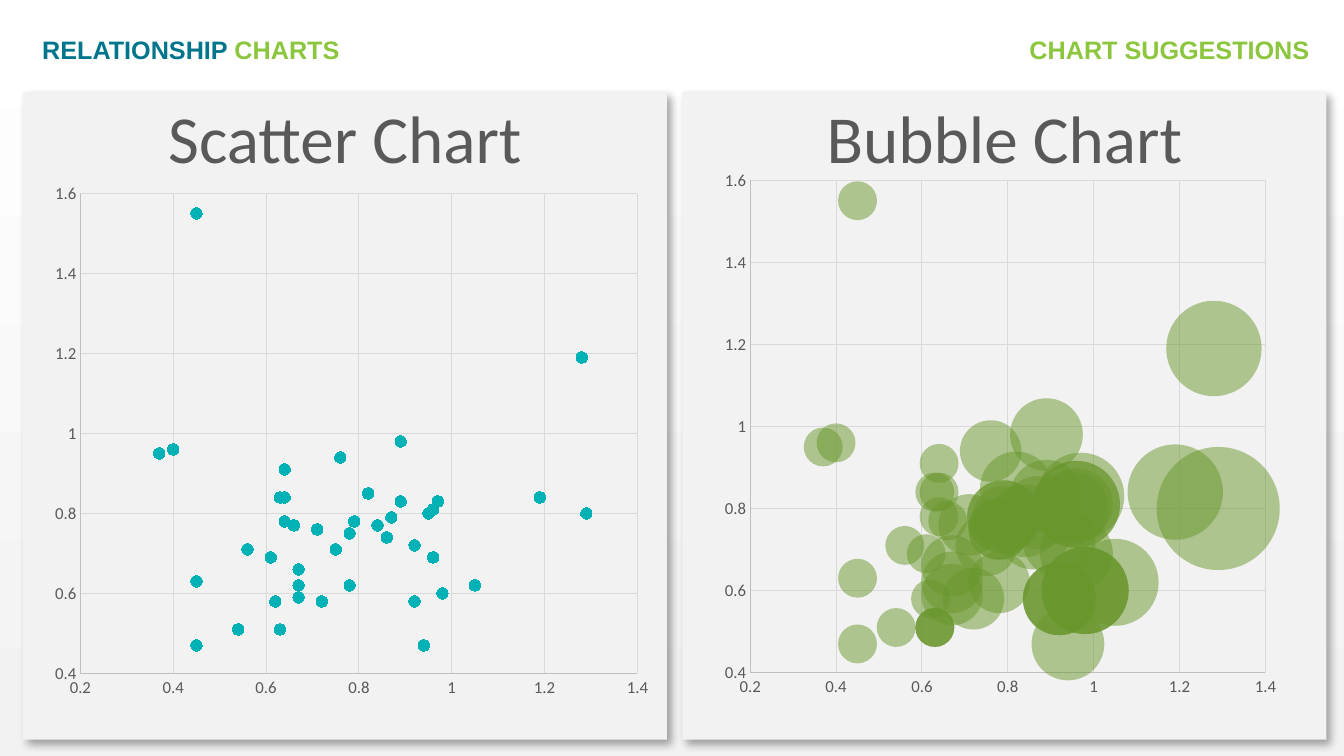
from pptx import Presentation
from pptx.chart.data import BubbleChartData, XyChartData
from pptx.dml.color import RGBColor
from pptx.enum.chart import XL_CHART_TYPE, XL_MARKER_STYLE, XL_TICK_LABEL_POSITION, XL_TICK_MARK
from pptx.enum.shapes import MSO_SHAPE
from pptx.enum.text import MSO_ANCHOR, MSO_AUTO_SIZE, PP_ALIGN
from pptx.oxml import parse_xml
from pptx.oxml.ns import nsdecls
from pptx.util import Cm, Pt

TEAL, GREEN, GREY = "00758B", "8CC63E", "595959"
PANEL_FILL, MARKER_FILL, BUBBLE_FILL = "F2F2F2", "00B2B5", "69972C"
AXIS_LINE, GRID_LINE = "BFBFBF", "D9D9D9"

HEADER_FONT = {"name": "Arial", "size": Pt(18), "bold": True}
PANEL_FONT = {"name": "Calibri", "size": Pt(48), "bold": False}
CHART_FONT = {"name": "Calibri", "size": Pt(10)}
TICK_FONT = {"name": "Calibri", "size": Pt(12)}
FRAME_FORMAT = {"word_wrap": True, "vertical_anchor": MSO_ANCHOR.TOP,
                "auto_size": MSO_AUTO_SIZE.SHAPE_TO_FIT_TEXT}
AXIS_FORMAT = {"major_unit": 0.2, "has_major_gridlines": True, "has_minor_gridlines": False,
               "major_tick_mark": XL_TICK_MARK.NONE, "minor_tick_mark": XL_TICK_MARK.NONE,
               "tick_label_position": XL_TICK_LABEL_POSITION.NEXT_TO_AXIS}
X_RANGE = {"minimum_scale": 0.2, "maximum_scale": 1.4}
Y_RANGE = {"minimum_scale": 0.4, "maximum_scale": 1.6}

SCATTER_X = [
    0.4, 0.37, 0.96, 0.97, 1.29, 0.92, 1.19, 0.84, 0.89, 0.66, 1.28, 0.64, 0.64, 0.64,
    0.79, 0.79, 0.79, 0.95, 0.98, 0.98, 0.98, 0.96, 0.96, 0.96, 0.75, 0.86, 0.94, 0.89,
    0.92, 0.92, 0.92, 1.05, 0.63, 0.63, 0.63, 0.71, 0.87, 0.78, 0.78, 0.78, 0.63, 0.67,
    0.67, 0.67, 0.56, 0.82, 0.62, 0.45, 0.45, 0.45, 0.76, 0.72, 0.61, 0.54]
SCATTER_Y = [
    0.96, 0.95, 0.69, 0.83, 0.8, 0.72, 0.84, 0.77, 0.98, 0.77, 1.19, 0.84, 0.78, 0.91,
    0.78, 0.78, 0.78, 0.8, 0.6, 0.6, 0.6, 0.81, 0.81, 0.81, 0.71, 0.74, 0.47, 0.83,
    0.58, 0.58, 0.58, 0.62, 0.51, 0.51, 0.51, 0.76, 0.79, 0.62, 0.75, 0.75, 0.84, 0.66,
    0.62, 0.59, 0.71, 0.85, 0.58, 0.47, 0.63, 1.55, 0.94, 0.58, 0.69, 0.51]
BUBBLE_X = sorted(SCATTER_X)
BUBBLE_Y = [
    0.95, 0.96, 0.47, 0.63, 1.55, 0.51, 0.71, 0.69, 0.58, 0.51, 0.51, 0.51, 0.84, 0.84,
    0.78, 0.91, 0.77, 0.66, 0.62, 0.59, 0.76, 0.58, 0.71, 0.94, 0.62, 0.75, 0.75, 0.78,
    0.78, 0.78, 0.85, 0.77, 0.74, 0.79, 0.98, 0.83, 0.72, 0.58, 0.58, 0.58, 0.47, 0.8,
    0.69, 0.81, 0.81, 0.81, 0.83, 0.6, 0.6, 0.6, 0.62, 0.84, 1.19, 0.8]
BUBBLE_SIZES = [2] * 17 + [5] * 11 + [7] * 16 + [10] * 7 + [12] * 2 + [20]


def color(hex_string):
    return RGBColor.from_string(hex_string)


def set_attributes(target, values):
    for name, value in values.items():
        setattr(target, name, value)


def write_text(shape, runs, font, alignment):
    """Fill the shape with one paragraph of (text, colour) runs."""
    set_attributes(shape.text_frame, FRAME_FORMAT)
    paragraph = shape.text_frame.paragraphs[0]
    paragraph.alignment = alignment
    for text, hex_string in runs:
        run = paragraph.add_run()
        run.text = text
        set_attributes(run.font, font)
        run.font.color.rgb = color(hex_string)


def add_background(slide):
    fill = slide.background.fill
    fill.gradient()
    fill.gradient_angle = 90
    for stop, hex_string in zip(fill.gradient_stops, (PANEL_FILL, "FFFFFF")):
        stop.color.rgb = color(hex_string)


def add_header(slide, left, top, width, height):
    label_width = Cm(8.99)
    title = slide.shapes.title
    set_attributes(title, {"left": left, "top": top, "width": label_width, "height": height})
    write_text(title, [("RELATIONSHIP ", TEAL), ("CHARTS", GREEN)], HEADER_FONT, PP_ALIGN.LEFT)
    label = slide.shapes.add_textbox(left + width - label_width, top, label_width, height)
    write_text(label, [("CHART SUGGESTIONS", GREEN)], HEADER_FONT, PP_ALIGN.RIGHT)


def add_panel(slide, heading, left, top, width, height):
    panel = slide.shapes.add_shape(MSO_SHAPE.RECTANGLE, left, top, width, height)
    panel.fill.solid()
    panel.fill.fore_color.rgb = color(PANEL_FILL)
    panel.line.fill.background()
    panel.shadow.inherit = False
    effects = panel.element.spPr.find("{*}effectLst")
    effects.append(parse_xml(
        f'<a:outerShdw {nsdecls("a")} blurRad="{Pt(6)}" dist="{Pt(5)}" dir="2700000" algn="tl"'
        ' rotWithShape="0"><a:srgbClr val="000000"><a:alpha val="34000"/></a:srgbClr>'
        '</a:outerShdw>'))
    text_box = slide.shapes.add_textbox(left, top, width, Cm(2.31))
    write_text(text_box, [(heading, GREY)], PANEL_FONT, PP_ALIGN.CENTER)


def format_axis(axis, scale):
    set_attributes(axis, AXIS_FORMAT | scale)
    set_attributes(axis.tick_labels.font, TICK_FONT)
    axis.tick_labels.font.color.rgb = color(GREY)
    for part, hex_string in ((axis, AXIS_LINE), (axis.major_gridlines, GRID_LINE)):
        part.format.line.width = Pt(0.75)
        part.format.line.color.rgb = color(hex_string)


def place_plot(chart):
    """Fix the inner plot area as shares of the chart frame."""
    plot_area = chart.element.find(".//{*}plotArea")
    for layout in plot_area.findall("{*}layout"):
        plot_area.remove(layout)
    shares = {"x": 0.06, "y": 0.04, "w": 0.9, "h": 0.9}
    modes = "".join(f'<c:{axis}Mode val="edge"/>' for axis in "xy")
    values = "".join(f'<c:{name} val="{share}"/>' for name, share in shares.items())
    plot_area.insert(0, parse_xml(
        f'<c:layout {nsdecls("c")}><c:manualLayout><c:layoutTarget val="inner"/>'
        f'{modes}{values}</c:manualLayout></c:layout>'))


def add_relationship_chart(slide, chart_type, chart_data, left, top, width, height):
    chart = slide.shapes.add_chart(chart_type, left, top, width, height, chart_data).chart
    set_attributes(chart, {"has_legend": False, "has_title": False})
    set_attributes(chart.font, CHART_FONT)
    chart.font.color.rgb = color("000000")
    format_axis(chart.category_axis, X_RANGE)
    format_axis(chart.value_axis, Y_RANGE)
    place_plot(chart)
    return chart


def add_scatter_panel(slide, left, top, width, height):
    add_panel(slide, "Scatter Chart", left, top, width, height)
    chart_data = XyChartData()
    points = chart_data.add_series("Series 1")
    for x, y in zip(SCATTER_X, SCATTER_Y):
        points.add_data_point(x, y)
    chart = add_relationship_chart(slide, XL_CHART_TYPE.XY_SCATTER, chart_data,
                                   left + Cm(0.51), top + Cm(2.03), Cm(15.6), Cm(13.44))
    chart.plots[0].vary_by_categories = False
    series = chart.plots[0].series[0]
    series.format.line.fill.background()
    set_attributes(series.marker, {"style": XL_MARKER_STYLE.CIRCLE, "size": 8})
    series.marker.format.fill.solid()
    series.marker.format.fill.fore_color.rgb = color(MARKER_FILL)
    series.marker.format.line.fill.background()


def add_bubble_panel(slide, left, top, width, height):
    add_panel(slide, "Bubble Chart", left, top, width, height)
    chart_data = BubbleChartData()
    points = chart_data.add_series("Series 1")
    for x, y, size in zip(BUBBLE_X, BUBBLE_Y, BUBBLE_SIZES):
        points.add_data_point(x, y, size)
    chart = add_relationship_chart(slide, XL_CHART_TYPE.BUBBLE, chart_data,
                                   left + Cm(0.84), top + Cm(1.68), Cm(14.43), Cm(13.79))
    series = chart.plots[0].series[0]
    series.format.fill.solid()
    series.format.fill.fore_color.rgb = color(BUBBLE_FILL)
    series.format.line.fill.background()
    bubble_color = chart.element.find(".//{*}ser/{*}spPr/{*}solidFill/{*}srgbClr")
    bubble_color.append(parse_xml(f'<a:alpha {nsdecls("a")} val="50000"/>'))


def main():
    presentation = Presentation()
    set_attributes(presentation, {"slide_width": Cm(33.87), "slide_height": Cm(19.05)})
    slide = presentation.slides.add_slide(presentation.slide_layouts[5])
    add_background(slide)
    add_header(slide, Cm(0.81), Cm(0.74), Cm(32.44), Cm(1.02))
    panel_top, panel_width, panel_height = Cm(2.31), Cm(16.23), Cm(16.33)
    add_scatter_panel(slide, Cm(0.58), panel_top, panel_width, panel_height)
    add_bubble_panel(slide, Cm(17.2), panel_top, panel_width, panel_height)
    presentation.save("out.pptx")


if __name__ == "__main__":
    main()
